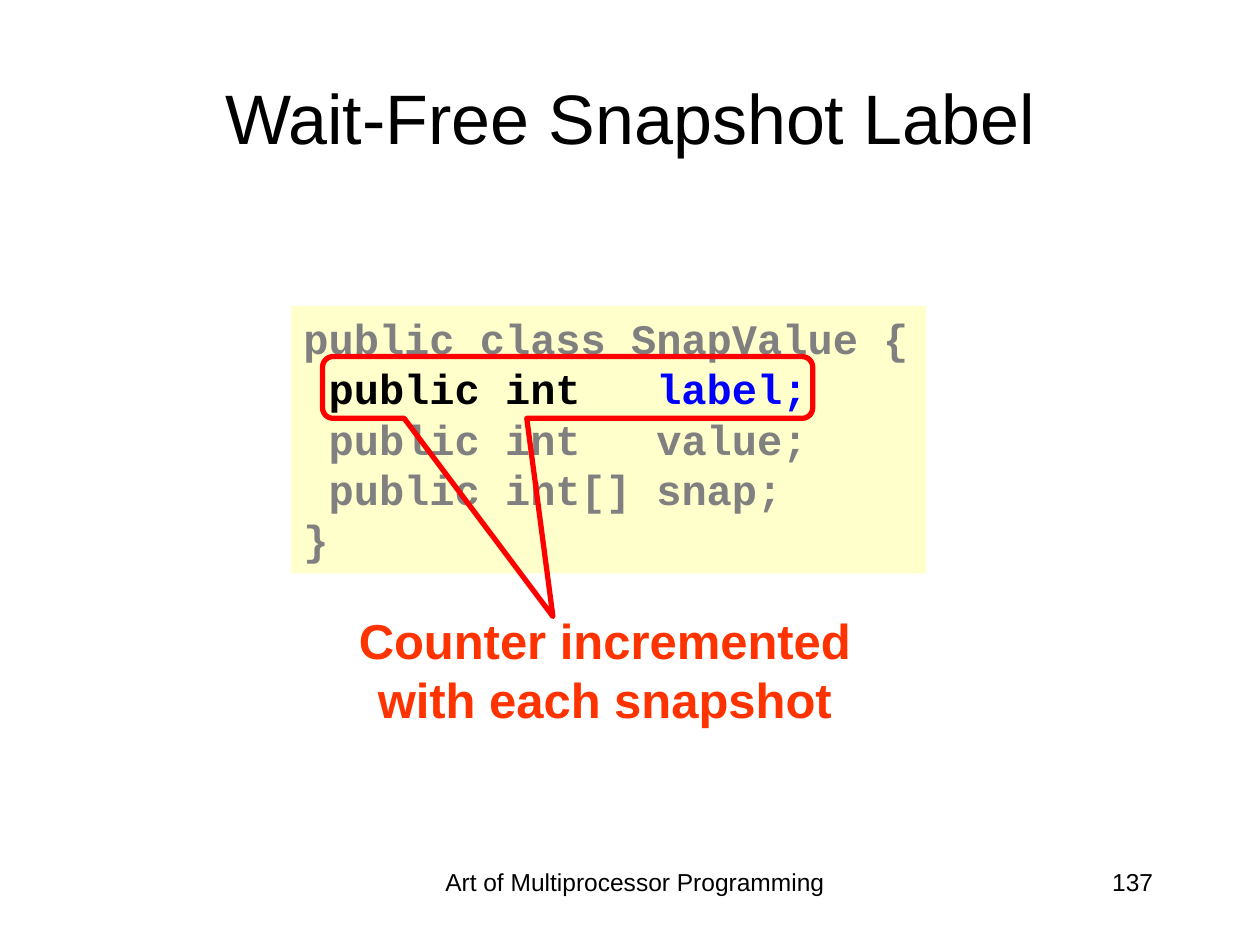
from pptx import Presentation
from pptx.dml.color import RGBColor
from pptx.enum import shapes, text
from pptx.util import Inches, Pt

BLACK = RGBColor(0x00, 0x00, 0x00)
GRAY = RGBColor(0x80, 0x80, 0x80)
BLUE = RGBColor(0x00, 0x00, 0xFF)
RED = RGBColor(0xFF, 0x00, 0x00)
ORANGE = RGBColor(0xFF, 0x33, 0x00)
CREAM = RGBColor(0xFF, 0xFF, 0xCC)

# Content
TITLE = "Wait-Free Snapshot Label"
CODE = [  # one list of (text, colour) per line
    [("public class SnapValue {", GRAY)],
    [(" public int", BLACK), ("   label;", BLUE)],
    [(" public int   value;", GRAY)],
    [(" public int[] snap;", GRAY)],
    [("}", GRAY)],
]
LEFT, CENTER, RIGHT = text.PP_ALIGN.LEFT, text.PP_ALIGN.CENTER, text.PP_ALIGN.RIGHT
LABELS = [  # text, box, size, bold, colour, alignment
    ("Counter incremented with each snapshot", (2.56, 4.8, 4.48, 1.03), 28, True, ORANGE, CENTER),
    ("Art of Multiprocessor Programming", (3.33, 6.83, 3.42, 0.52), 14, False, BLACK, CENTER),
    ("137", (7.17, 6.83, 2.08, 0.5), 14, False, BLACK, RIGHT),
]


def inches(box):
    return [Inches(v) for v in box]


def style(p, name, size, bold, color, align):
    p.alignment = align
    p.font.name, p.font.size, p.font.bold = name, Pt(size), bold
    p.font.color.rgb = color


prs = Presentation()
prs.slide_width, prs.slide_height = Inches(10), Inches(7.5)
s = prs.slides.add_slide(prs.slide_layouts[5])

# Title
title = s.shapes.title
title.left, title.top, title.width, title.height = inches((0.5, 0.3, 9, 1.25))
title.text_frame.text = TITLE
title.text_frame.vertical_anchor = text.MSO_ANCHOR.MIDDLE
style(title.text_frame.paragraphs[0], "Arial", 40, False, BLACK, CENTER)

# Code panel
panel = s.shapes.add_shape(shapes.MSO_SHAPE.RECTANGLE, *inches((2.31, 2.43, 5.04, 2.12)))
panel.shadow.inherit = False
panel.fill.solid()
panel.fill.fore_color.rgb = CREAM
panel.line.fill.background()
tf = panel.text_frame
tf.word_wrap = False
tf.vertical_anchor = text.MSO_ANCHOR.TOP
for i, line in enumerate(CODE):
    p = tf.paragraphs[0] if i == 0 else tf.add_paragraph()
    style(p, "Courier New", 24, True, GRAY, LEFT)
    for words, color in line:
        r = p.add_run()
        r.text = words
        r.font.color.rgb = color

# Callout around the label field
callout = s.shapes.add_shape(
    shapes.MSO_SHAPE.ROUNDED_RECTANGULAR_CALLOUT, *inches((2.56, 2.83, 3.89, 0.49)))
callout.shadow.inherit = False
callout.fill.background()
callout.line.color.rgb = RED
callout.line.width = Pt(3)
for i, value in enumerate((-0.03, 3.71, 0.17)):
    callout.adjustments[i] = value

# Caption and footer
for words, box, size, bold, color, align in LABELS:
    tf = s.shapes.add_textbox(*inches(box)).text_frame
    tf.word_wrap = True
    tf.text = words
    style(tf.paragraphs[0], "Arial", size, bold, color, align)

prs.save("out.pptx")
